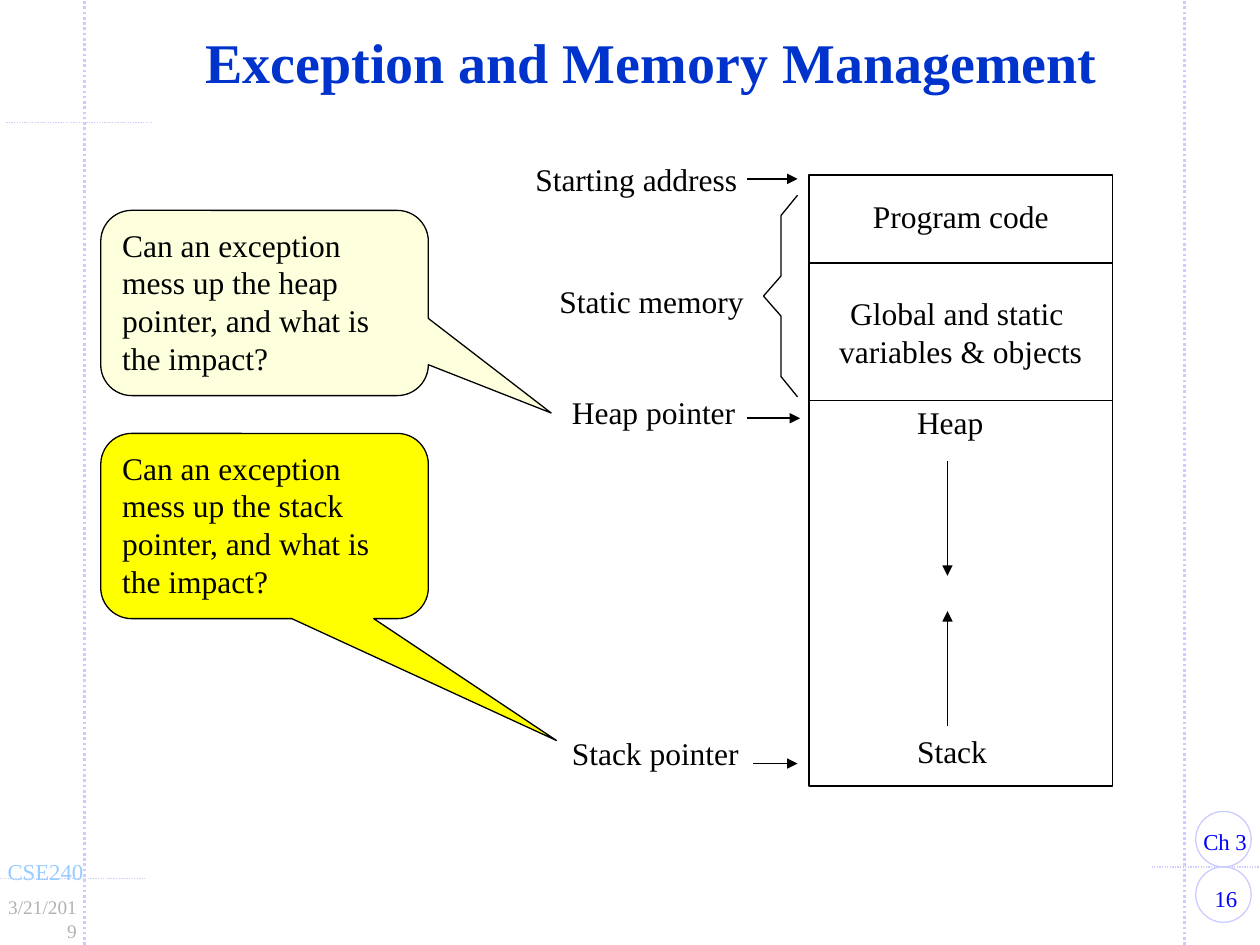
from pptx import Presentation
from pptx.dml.color import RGBColor
from pptx.enum.dml import MSO_LINE
from pptx.enum.shapes import MSO_CONNECTOR, MSO_SHAPE
from pptx.enum.text import MSO_ANCHOR, MSO_AUTO_SIZE, PP_ALIGN
from pptx.oxml.ns import qn
from pptx.util import Pt
from lxml import etree

PX = 9144  # 100 px to the inch
FONT = "Times New Roman"
BLACK, WHITE, LAVENDER = "000000", "FFFFFF", "CCCCFF"
LEFT, CENTER, RIGHT = PP_ALIGN.LEFT, PP_ALIGN.CENTER, PP_ALIGN.RIGHT
TOP, MIDDLE = MSO_ANCHOR.TOP, MSO_ANCHOR.MIDDLE
DOTS = MSO_LINE.ROUND_DOT
FIT, NO_FIT = MSO_AUTO_SIZE.SHAPE_TO_FIT_TEXT, MSO_AUTO_SIZE.NONE
RECT, OVAL = MSO_SHAPE.RECTANGLE, MSO_SHAPE.OVAL
CALLOUT = MSO_SHAPE.ROUNDED_RECTANGULAR_CALLOUT


def emu(*lengths):
    return [length * PX for length in lengths]


def rgb(value):
    return RGBColor.from_string(value)


def write(shape, text, size=18, color=BLACK, align=LEFT, anchor=TOP,
          wrap=False, bold=False, spacing=None):
    frame = shape.text_frame
    frame.text = text
    frame.word_wrap = wrap
    frame.vertical_anchor = anchor
    for paragraph in frame.paragraphs:
        paragraph.alignment = align
        paragraph.line_spacing = spacing
        for run in paragraph.runs:
            run.font.name = FONT
            run.font.size = Pt(size)
            run.font.bold = bold
            run.font.color.rgb = rgb(color)


def add_label(slide, box, text, insets=(10, 10), fit=FIT, **style):
    label = slide.shapes.add_textbox(*emu(*box))
    write(label, text, **style)
    frame = label.text_frame
    frame.margin_left, frame.margin_right = emu(*insets)
    frame.auto_size = fit


def outline(shape, fill=None, color=BLACK, width=0.75):
    shape.shadow.inherit = False
    if fill:
        shape.fill.solid()
        shape.fill.fore_color.rgb = rgb(fill)
    else:
        shape.fill.background()
    shape.line.color.rgb = rgb(color)
    shape.line.width = Pt(width)


def add_shape(slide, kind, box, **style):
    shape = slide.shapes.add_shape(kind, *emu(*box))
    outline(shape, **style)
    return shape


def add_line(slide, start, end, color=BLACK, width=1, dash=None, arrow=False):
    line = slide.shapes.add_connector(MSO_CONNECTOR.STRAIGHT, *emu(*start, *end))
    line.line.color.rgb = rgb(color)
    line.line.width = Pt(width)
    if dash:
        line.line.dash_style = dash
    properties = line._element.spPr
    if arrow:
        etree.SubElement(properties.find(qn("a:ln")), qn("a:tailEnd"), type="triangle")
    etree.SubElement(properties, qn("a:effectLst"))


def build_frame(slide, left, top, width, height):
    """Dotted guide lines, course label, date and page badges."""
    bottom, right = top + height, left + width
    for x in (left + 67, right - 60):
        add_line(slide, (x, bottom), (x, top), LAVENDER, 1.5, DOTS)
    for x1, x2, y in ((5, 120, 97), (0, 115, 697), (914, width, 688)):
        add_line(slide, (left + x1, top + y), (left + x2, top + y),
                 LAVENDER, 0.75, DOTS)
    for y in (bottom - 62, bottom - 106):
        add_shape(slide, OVAL, (right - 51, y, 44, 44), color=LAVENDER)

    # Left-aligned labels need the full width to stay on one line
    labels = (
        ((right - 56, bottom - 53, 58, 32), "16", 11, 13, "0000FF", CENTER),
        ((right - 56, bottom - 98, 56, 32), "Ch 3", 0, 13, "0000FF", LEFT),
        ((left - 5, bottom - 74, 81, 32), "CSE240", 0, 13, "99CCFF", LEFT),
        ((left - 11, bottom - 44, 83, 29), "3/21/2019", 11, 11, "B2B2B2", RIGHT),
    )
    for box, text, right_inset, size, color, align in labels:
        add_label(slide, box, text, (11, right_inset), size=size, color=color,
                  align=align, wrap=True)


def build_memory(slide, left, top, width, height):
    """Stacked memory areas, with heap and stack growing together."""
    areas = ((0, 70, "Program code", 0.8),
             (70, 109, "Global and static \vvariables & objects", None),
             (179, height - 179, "", None))
    for y, area_height, text, spacing in areas:
        area = add_shape(slide, RECT, (left, top + y, width, area_height),
                         fill=WHITE, width=1)
        if text:
            write(area, text, align=CENTER, anchor=MIDDLE, spacing=spacing)
    for y, label_width, text in ((176, 73, "Heap"), (437, 76, "Stack")):
        add_label(slide, (left + 76, top + y, label_width, 40), text)
    growth = left + 110
    for y1, y2 in ((227, 318), (437, 346)):
        add_line(slide, (growth, top + y1), (growth, top + y2), arrow=True)


def build_pointers(slide, left, top, width, height):
    """Labels, arrows and brace that point at the memory areas."""
    bottom = top + height
    labels = ((0, top, 182, "Starting address"),
              (19, top + 97, 168, "Static memory"),
              (29, top + 185, 151, "Heap pointer"),
              (29, bottom - 40, 186, "Stack pointer"))
    for x, y, label_width, text in labels:
        add_label(slide, (left + x, y, label_width, 40), text)
    right = left + width
    arrows = ((42, 2, top + 20, 0.75), (42, 0, top + 210, 1), (37, 2, bottom - 12, 1))
    for x1, x2, y, weight in arrows:
        add_line(slide, (right - x1, y), (right - x2, y), width=weight, arrow=True)

    # Each half of the brace mirrors the other about its tip
    tip_x, tip_y = right - 29, top + 113
    for side in (-1, 1):
        points = [(tip_x + x, tip_y + side * y)
                  for x, y in ((27, 80), (14, 64), (14, 16), (0, 0))]
        half = slide.shapes.build_freeform(*points[0], scale=PX)
        half.add_line_segments(points[1:], close=False)
        outline(half.convert_to_shape())


def build_callout(slide, box, subject, fill, tip):
    """Question whose tip, as a share of the box, lies at a pointer."""
    callout = add_shape(slide, CALLOUT, box, fill=fill)
    for index, value in enumerate((*tip, 0.167)):
        callout.adjustments[index] = value
    write(callout, f"Can an exception mess up the {subject} pointer, "
                   "and what is the impact?", wrap=True)


def main():
    presentation = Presentation()
    presentation.slide_width, presentation.slide_height = emu(1000, 750)
    slide = presentation.slides.add_slide(presentation.slide_layouts[6])

    build_frame(slide, 0, 0, 1000, 750)
    add_label(slide, (76, 18, 882, 70), "Exception and Memory Management", (11, 11),
              NO_FIT, size=32, color="0033CC", align=CENTER, anchor=MIDDLE,
              wrap=True, bold=True, spacing=0.85)
    build_memory(slide, 642, 139, 241, 485)
    build_pointers(slide, 415, 122, 220, 496)
    build_callout(slide, (80, 167, 260, 147), "heap", "FDFFDD", (0.875, 0.594))
    build_callout(slide, (80, 344, 260, 147), "stack", "FFFF00", (0.891, 1.158))

    presentation.save("out.pptx")


if __name__ == "__main__":
    main()
